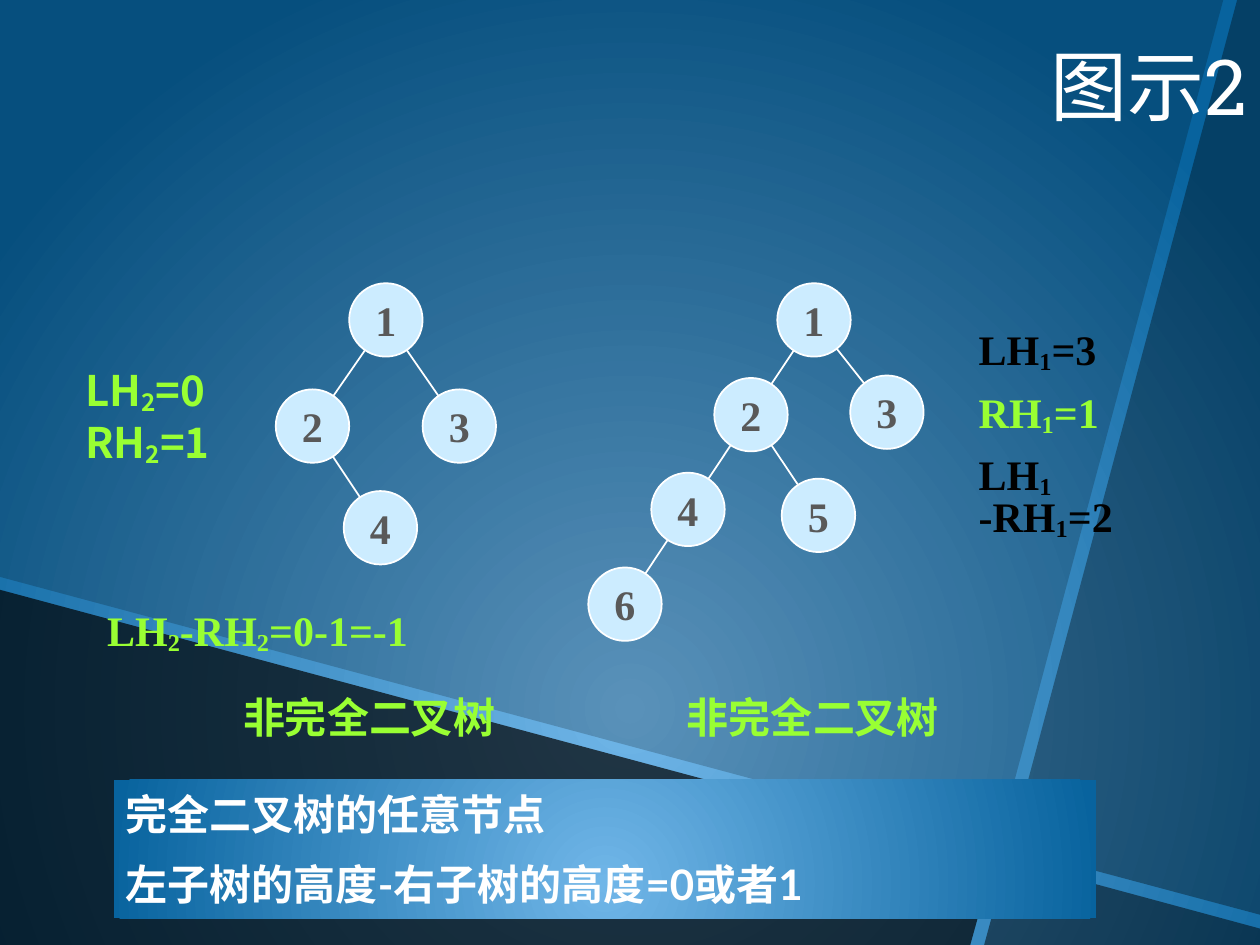
"""Build a slide on the subtree heights of two binary trees."""
from dataclasses import dataclass
import math
from typing import NamedTuple, Optional, Union

import lxml.etree
import pptx
import pptx.dml.color
import pptx.enum.shapes
import pptx.enum.text
import pptx.oxml.ns
import pptx.util

Cm = pptx.util.Cm
Pt = pptx.util.Pt

COLORS = {
    "glow": "70B6E8",
    "deep": "08639E",
    "shade": "000000",
    "white": "FFFFFF",
    "lime": "99FF33",
    "node": "CCECFF",
    "number": "595959",
}
SERIF = "Times New Roman"
HAN = "Noto Sans CJK SC"
NODE_RADIUS = 0.74


class Point(NamedTuple):
    x: float
    y: float


class Box(NamedTuple):
    left: float
    top: float
    width: float
    height: float

    def lengths(self) -> list:
        return [Cm(value) for value in self]


@dataclass
class Panel:
    opacity: int
    corners: list[tuple[float, float]]


@dataclass
class Tree:
    nodes: dict[str, Point]
    edges: list[str]


@dataclass
class Note:
    box: Box
    lines: list[tuple[str, str]]
    font: str = SERIF
    line_spacing: Optional[Union[float, pptx.util.Length]] = None
    gap: float = 0


PANELS = [
    Panel(20, [(0, 0), (24.66, 0), (20.17, 16.79), (19.89, 16.97), (0, 11.63)]),
    Panel(70, [(0, 11.89), (19.81, 17.22), (19.99, 17.5), (19.56, 19.05), (0, 19.05)]),
    Panel(50, [(20.42, 17.4), (20.52, 17.4), (25.4, 18.72), (25.4, 19.05),
               (19.84, 19.05), (20.24, 17.58)]),
    Panel(35, [(24.94, 0), (25.4, 0), (25.4, 18.44), (20.57, 17.15), (20.42, 16.87)]),
]

SPINE = {
    number: Point(16.41 - 1.27 * level, 6.45 + 1.91 * level)
    for level, number in enumerate("1246")
}
TREES = [
    Tree({"1": Point(7.78, 6.45), "2": Point(6.3, 8.59),
          "3": Point(9.26, 8.59), "4": Point(7.67, 10.64)}, ["12", "13", "24"]),
    Tree({**SPINE, "3": Point(17.88, 8.31), "5": Point(16.5, 10.39)}, ["16", "13", "25"]),
]

NOTES = [
    Note(Box(1.47, 7.21, 3.38, 2.31),
         [("LH_2_=0", "lime"), ("RH_2_=1", "lime")], HAN, Pt(30)),
    Note(Box(19.48, 6.58, 4.6, 4.57),
         [("LH_1_=3", "shade"), ("RH_1_=1", "lime"), ("LH_1_ -RH_1_=2", "shade")],
         line_spacing=0.8, gap=12),
    Note(Box(1.91, 12.07, 6.78, 1.27), [("LH_2_-RH_2_=0-1=-1", "lime")]),
    *(Note(Box(left, 13.77, 5.9, 1.27), [("非完全二叉树", "lime")], line_spacing=Pt(30))
      for left in (4.65, 13.6)),
]
RULE = Note(Box(2.29, 15.72, 19.81, 2.79),
            [("完全二叉树的任意节点", "white"),
             ("左子树的高度-右子树的高度=0或者1", "white")], "Lato", Pt(30), 10.5)


def color(name: str) -> pptx.dml.color.RGBColor:
    """Look up a colour by name."""
    return pptx.dml.color.RGBColor.from_string(COLORS[name])


def fill_radial(fill, owner) -> None:
    """Give a fill the glow that is centred low in its area."""
    fill.gradient()
    for stop, name in zip(fill.gradient_stops, ("glow", "deep")):
        stop.color.rgb = color(name)
    gradient = owner.xpath(".//a:gradFill")[0]
    for linear in gradient.findall(pptx.oxml.ns.qn("a:lin")):
        gradient.remove(linear)
    radial = lxml.etree.SubElement(gradient, pptx.oxml.ns.qn("a:path"), path="circle")
    lxml.etree.SubElement(radial, pptx.oxml.ns.qn("a:fillToRect"),
                          l="50000", t="50000", r="50000", b="0")


def format_font(paragraph, name: str, size: float, color_name: str, bold: bool) -> None:
    """Set the font that all runs of a paragraph share."""
    font = paragraph.font
    font.name, font.size, font.bold = name, Pt(size), bold
    font.color.rgb = color(color_name)
    latin = paragraph._p.xpath("./a:pPr/a:defRPr/a:latin")[0]
    east_asian = latin.makeelement(pptx.oxml.ns.qn("a:ea"), {"typeface": HAN})
    latin.addnext(east_asian)


def draw_panel(slide, panel: Panel) -> None:
    """Draw one translucent dark panel of the backdrop."""
    corners = [(Cm(x), Cm(y)) for x, y in panel.corners]
    builder = slide.shapes.build_freeform(*corners[0])
    builder.add_line_segments(corners[1:], close=True)
    shape = builder.convert_to_shape()
    shape.shadow.inherit = False
    shape.line.fill.background()
    shape.fill.solid()
    shape.fill.fore_color.rgb = color("shade")
    shade = shape.element.xpath("./p:spPr/a:solidFill/a:srgbClr")[0]
    lxml.etree.SubElement(shade, pptx.oxml.ns.qn("a:alpha"), val=str(panel.opacity * 1000))


def draw_edge(slide, start: Point, end: Point) -> None:
    """Join the rims of two nodes with a line."""
    ratio = NODE_RADIUS / math.dist(start, end)
    shift_x, shift_y = (end.x - start.x) * ratio, (end.y - start.y) * ratio
    connector = slide.shapes.add_connector(
        pptx.enum.shapes.MSO_CONNECTOR.STRAIGHT,
        Cm(start.x + shift_x), Cm(start.y + shift_y), Cm(end.x - shift_x), Cm(end.y - shift_y))
    connector.line.color.rgb = color("white")
    connector.line.width = Pt(1)
    properties = connector.element.xpath("./p:spPr")[0]
    lxml.etree.SubElement(properties, pptx.oxml.ns.qn("a:effectLst"))


def draw_node(slide, number: str, center: Point) -> None:
    """Draw a numbered round node."""
    box = Box(center.x - NODE_RADIUS, center.y - NODE_RADIUS, 2 * NODE_RADIUS, 2 * NODE_RADIUS)
    shape = slide.shapes.add_shape(pptx.enum.shapes.MSO_SHAPE.OVAL, *box.lengths())
    shape.shadow.inherit = False
    shape.fill.solid()
    shape.fill.fore_color.rgb = color("node")
    shape.line.color.rgb = color("white")
    shape.line.width = Pt(1)
    frame = shape.text_frame
    frame.margin_left = frame.margin_right = frame.margin_top = frame.margin_bottom = 0
    frame.vertical_anchor = pptx.enum.text.MSO_ANCHOR.MIDDLE
    frame.text = number
    frame.paragraphs[0].alignment = pptx.enum.text.PP_ALIGN.CENTER
    format_font(frame.paragraphs[0], SERIF, 24, "number", True)


def draw_tree(slide, tree: Tree) -> None:
    """Draw the edges of a tree and then its nodes."""
    for parent, child in tree.edges:
        draw_edge(slide, tree.nodes[parent], tree.nodes[child])
    for number, center in tree.nodes.items():
        draw_node(slide, number, center)


def write_note(shape, note: Note) -> None:
    """Write bold lines, with subscripts held between underscores."""
    frame = shape.text_frame
    frame.word_wrap = True
    frame.vertical_anchor = pptx.enum.text.MSO_ANCHOR.TOP
    for index, (text, color_name) in enumerate(note.lines):
        paragraph = frame.add_paragraph() if index else frame.paragraphs[0]
        paragraph.alignment = pptx.enum.text.PP_ALIGN.LEFT
        paragraph.line_spacing = note.line_spacing
        if index:
            paragraph.space_before = Pt(note.gap)
        for position, piece in enumerate(text.split("_")):
            run = paragraph.add_run()
            run.text = piece
            if position % 2:
                run._r.get_or_add_rPr().set("baseline", "-12000")
        format_font(paragraph, note.font, 24, color_name, True)


def main() -> None:
    """Build and save the slide."""
    presentation = pptx.Presentation()
    presentation.slide_width, presentation.slide_height = Cm(25.4), Cm(19.05)
    slide = presentation.slides.add_slide(presentation.slide_layouts[5])
    fill_radial(slide.background.fill, slide.element)
    for panel in PANELS:
        draw_panel(slide, panel)
    for tree in TREES:
        draw_tree(slide, tree)
    for note in NOTES:
        write_note(slide.shapes.add_textbox(*note.box.lengths()), note)

    title = slide.shapes.title
    title.left, title.top, title.width, title.height = Box(3.18, 0.43, 22.22, 2.34).lengths()
    title.text_frame.text = "图示2"
    title.text_frame.vertical_anchor = pptx.enum.text.MSO_ANCHOR.BOTTOM
    title.text_frame.paragraphs[0].alignment = pptx.enum.text.PP_ALIGN.RIGHT
    format_font(title.text_frame.paragraphs[0], "Roboto Slab", 44, "white", False)
    slide.shapes.element.append(title.element)

    rule = slide.shapes.add_shape(pptx.enum.shapes.MSO_SHAPE.RECTANGLE, *RULE.box.lengths())
    rule.shadow.inherit = False
    rule.line.fill.background()
    fill_radial(rule.fill, rule.element)
    write_note(rule, RULE)
    presentation.save("out.pptx")


if __name__ == "__main__":
    main()
